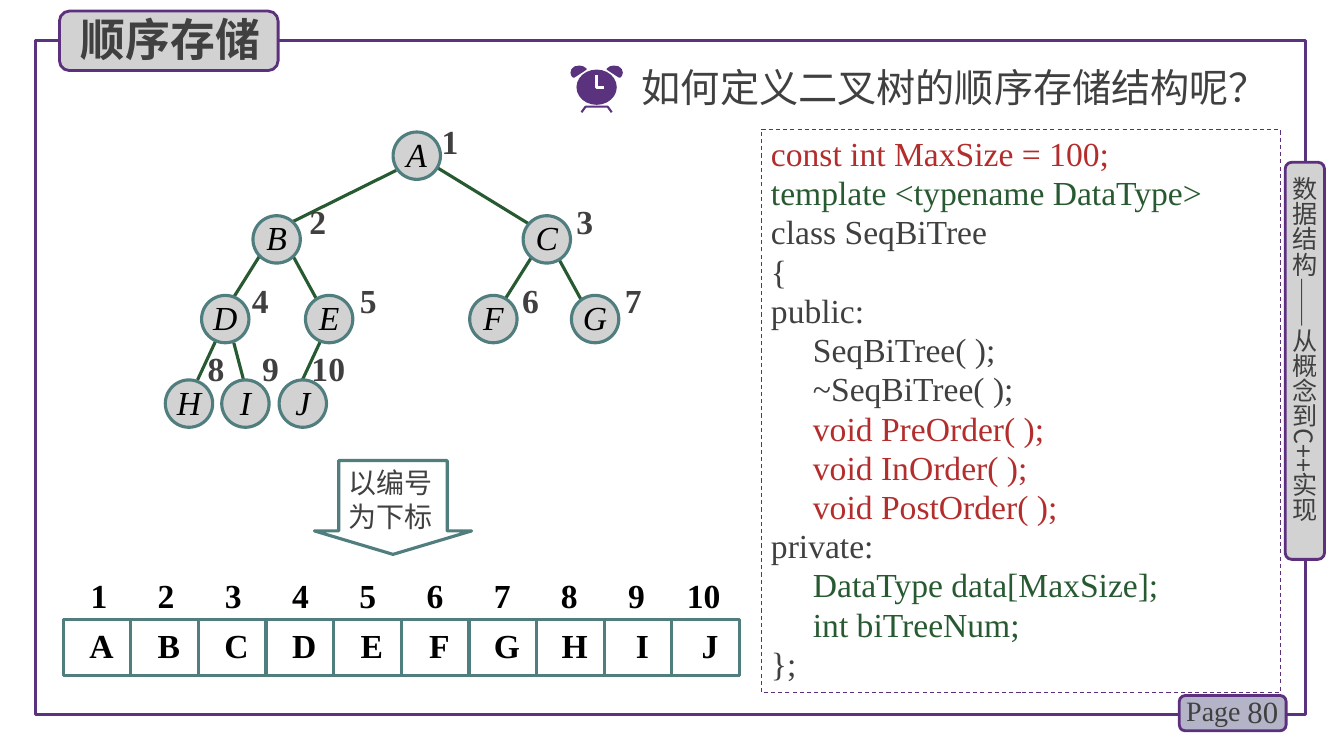
from typing import NamedTuple

from lxml import etree
from pptx import Presentation
from pptx.dml.color import RGBColor
from pptx.enum.dml import MSO_LINE
from pptx.enum.shapes import MSO_CONNECTOR, MSO_SHAPE
from pptx.enum.text import MSO_ANCHOR, MSO_AUTO_SIZE, PP_ALIGN
from pptx.oxml.ns import qn
from pptx.util import Pt

RECT, ROUND, OVAL, ARROW = (MSO_SHAPE.RECTANGLE, MSO_SHAPE.ROUNDED_RECTANGLE,
                            MSO_SHAPE.OVAL, MSO_SHAPE.DOWN_ARROW)
STRAIGHT, DASH, FIXED = MSO_CONNECTOR.STRAIGHT, MSO_LINE.DASH, MSO_AUTO_SIZE.NONE
LEFT, MID, RIGHT = PP_ALIGN.LEFT, PP_ALIGN.CENTER, PP_ALIGN.RIGHT
TOP, CENTER = MSO_ANCHOR.TOP, MSO_ANCHOR.MIDDLE
SANS, SERIF = "Noto Sans CJK SC", "Times New Roman"
COLORS = {"plum": "5A327D", "rim": "5C307D", "grey": "D2D2D2", "lilac": "B4B4C8",
          "teal": "507D7D", "green": "285A32", "red": "B42D2D", "dark": "404040",
          "black": "000000", "white": "FFFFFF"}


class Box(NamedTuple):
    x: float
    y: float
    w: float
    h: float


class Panel(NamedTuple):
    kind: int
    box: Box
    fill: str
    edge: str
    width: float


class Label(NamedTuple):
    text: str
    box: Box
    form: dict


class Node(NamedTuple):
    name: str
    left: float
    mark: float
    edge: tuple = ()


class Code(NamedTuple):
    text: str
    tint: str


PANELS = (
    Panel(RECT, Box(25.2, 28.8, 907.2, 481.7), "", "plum", 2.25),
    Panel(ROUND, Box(842.4, 496.8, 76.3, 25.2), "lilac", "rim", 2),
    Panel(ROUND, Box(918, 115.9, 28.1, 283.7), "grey", "rim", 2),
    Panel(ROUND, Box(42.5, 7.9, 156.2, 42.5), "grey", "rim", 2),
)
LABELS = (
    Label("80", Box(869, 493.9, 51.1, 28.8),
          {"size": 22, "align": RIGHT, "anchor": CENTER}),
    Label("Page", Box(840.2, 491.8, 56.2, 31.7), {"size": 20}),
    Label("数据结构——从概念到C++实现", Box(920.9, 126, 21.6, 272.2),
          {"size": 18, "face": SANS, "inset": (0, 0, 0, 0), "turn": "eaVert"}),
    Label("如何定义二叉树的顺序存储结构呢？", Box(451.4, 41.8, 465.1, 41),
          {"size": 28, "face": SANS}),
)
NODES = (
    Node("A", 280.8, 315.4),
    Node("B", 180.7, 221, (283, 121.7, 204.5, 160.6)),
    Node("C", 373.7, 411.8, (309.6, 118.1, 382.3, 162.7)),
    Node("D", 144, 180, (188.6, 177.8, 164.2, 216.7)),
    Node("E", 218.2, 257, (208.1, 180.7, 229, 218.9)),
    Node("F", 335.5, 373, (380.2, 182.9, 355.7, 221.8)),
    Node("G", 408.2, 446.4, (399.6, 185.8, 420.5, 223.9)),
    Node("H", 118.1, 148.3, (155.5, 240.5, 141.1, 271.4)),
    Node("I", 158.4, 187.2, (167, 244.8, 175.7, 277.9)),
    Node("J", 199.4, 222.5, (230.4, 240.5, 216, 271.4)),
)
NODE_TOPS = (94.3, 154.1, 211, 271.4)
MARK_TOPS = (85, 141.8, 198.7, 247)
CODE = (
    Code("const int MaxSize = 100;", "red"),
    Code("template <typename DataType>", "green"),
    Code("class SeqBiTree", "dark"),
    Code("{", "dark"),
    Code("public:", "dark"),
    Code("     SeqBiTree( );", "dark"),
    Code("     ~SeqBiTree( );", "dark"),
    Code("     void PreOrder( );", "red"),
    Code("     void InOrder( );", "red"),
    Code("     void PostOrder( );", "red"),
    Code("private:", "dark"),
    Code("     DataType data[MaxSize];", "green"),
    Code("     int biTreeNum;", "green"),
    Code("};", "dark"),
)
EAR = ((414, 46.8), (410.4, 47.4), (408.2, 49.4), (407.5, 51.8), (408, 54),
       (409.2, 55.4), (410.4, 55.4), (419, 49.8), (419, 49), (416.8, 47.4))
FEET = ((415.4, 80.2), (418.3, 76.2), (434.1, 76.2), (437, 80.2))
HANDS = ((426.2, 53.8), (426.2, 62.3), (431.5, 62.3))
CLOCK_MID = 426.2
STEP = 48.3


def shade(name: str) -> RGBColor:
    """Look up a colour by name."""
    return RGBColor.from_string(COLORS[name])


def style(shape, fill: str = "", edge: str = "", width: float = 2.25):
    """Set the fill and outline of a shape and drop its shadow."""
    shape.shadow.inherit = False
    if fill:
        shape.fill.solid()
        shape.fill.fore_color.rgb = shade(fill)
    else:
        shape.fill.background()
    if edge:
        shape.line.color.rgb = shade(edge)
        shape.line.width = Pt(width)
    else:
        shape.line.fill.background()
    return shape


def draw(shapes, kind: int, box: Box, **look):
    """Add a styled preset shape."""
    return style(shapes.add_shape(kind, *map(Pt, box)), **look)


def trace(shapes, points, close: bool, **look) -> None:
    """Add a styled outline through the points."""
    path = [(Pt(x), Pt(y)) for x, y in points]
    pen = shapes.build_freeform(*path[0], scale=1.0)
    pen.add_line_segments(path[1:], close=close)
    style(pen.convert_to_shape(), **look)


def join(shapes, edge: tuple) -> None:
    """Add a tree edge."""
    line = shapes.add_connector(STRAIGHT, *map(Pt, edge))
    line.line.color.rgb = shade("green")
    line.line.width = Pt(2.25)
    etree.SubElement(line._element.spPr, qn("a:effectLst"))


def write(shape, text: str, size: float = 24, face: str = SERIF, tint: str = "dark",
          tints: tuple = (), bold: bool = False, slant: bool = False, align=LEFT,
          anchor=TOP, inset: tuple = (7.2, 3.6, 7.2, 3.6), pitch: float = 0,
          turn: str = "", tabs: tuple = ()) -> None:
    """Fill a shape with text, one paragraph a line."""
    frame = shape.text_frame
    frame.word_wrap, frame.auto_size, frame.vertical_anchor = True, FIXED, anchor
    (frame.margin_left, frame.margin_top,
     frame.margin_right, frame.margin_bottom) = map(Pt, inset)
    if turn:
        frame._txBody.bodyPr.set("vert", turn)
    for i, line in enumerate(text.split("\n")):
        para = frame.add_paragraph() if i else frame.paragraphs[0]
        para.alignment = align
        if pitch:
            para.line_spacing = Pt(pitch)
        if tabs:
            stops = etree.SubElement(para._p.get_or_add_pPr(), qn("a:tabLst"))
            for stop in tabs:
                etree.SubElement(stops, qn("a:tab"), pos=str(Pt(stop)), algn="ctr")
        run = para.add_run()
        run.text = line
        font = run.font
        font.name, font.size, font.bold, font.italic = face, Pt(size), bold, slant
        font.color.rgb = shade(tints[i] if tints else tint)
        etree.SubElement(run._r.get_or_add_rPr(), qn("a:ea"), typeface=face)


def label(shapes, text: str, box: Box, **form) -> None:
    """Add a text box."""
    write(shapes.add_textbox(*map(Pt, box)), text, **form)


def tree(shapes) -> None:
    """Draw the numbered binary tree."""
    for node in NODES:
        if node.edge:
            join(shapes, node.edge)
    for num, node in enumerate(NODES, 1):
        row = num.bit_length() - 1
        disc = draw(shapes, OVAL, Box(node.left, NODE_TOPS[row], 33.84, 33.84),
                    fill="grey", edge="teal")
        write(disc, node.name, tint="black", slant=True, align=MID, pitch=25,
              inset=(0, 0, 0, 0))
        label(shapes, str(num), Box(node.mark, MARK_TOPS[row], 30.2, 28.4),
              bold=True, inset=(0, 1.44, 0, 0))


def store(shapes) -> None:
    """Draw the arrow and the array with its indices."""
    arrow = draw(shapes, ARROW, Box(224.6, 329, 112.3, 67), edge="teal")
    arrow.adjustments[0], arrow.adjustments[1] = 0.69, 0.25
    write(arrow, "以编号\n为下标", size=20, face=SANS, anchor=CENTER)
    count = len(NODES)
    label(shapes, "\t".join(str(i + 1) for i in range(count)),
          Box(57.6, 406.8, 479.5, 36), tint="black", bold=True,
          tabs=tuple(6 + 48 * i for i in range(1, count)))
    for i, node in enumerate(NODES):
        cell = draw(shapes, RECT, Box(45.2 + STEP * i, 442.8, STEP, 39.6), edge="teal")
        write(cell, node.name, tint="black", bold=True, align=MID,
              inset=(13.2, 3.6, 7.2, 3.6))


def clock(shapes) -> None:
    """Draw the alarm clock."""
    trace(shapes, FEET, False, edge="plum", width=1.5)
    trace(shapes, EAR, True, fill="plum")
    trace(shapes, [(2 * CLOCK_MID - x, y) for x, y in EAR], True, fill="plum")
    draw(shapes, OVAL, Box(CLOCK_MID - 14.4, 49.7, 28.8, 25.2), fill="plum")
    trace(shapes, HANDS, False, edge="white")


def main() -> None:
    """Build and save the slide."""
    deck = Presentation()
    deck.slide_width, deck.slide_height = Pt(960), Pt(540)
    slide = deck.slides.add_slide(deck.slide_layouts[5])
    shapes = slide.shapes
    for panel in PANELS:
        draw(shapes, panel.kind, panel.box, fill=panel.fill, edge=panel.edge,
             width=panel.width)
    for item in LABELS:
        label(shapes, item.text, item.box, **item.form)
    tree(shapes)
    store(shapes)
    code = draw(shapes, RECT, Box(543.6, 92.2, 370.8, 402.5), edge="rim", width=0.75)
    code.line.dash_style = DASH
    write(code, "\n".join(line.text for line in CODE), pitch=28,
          tints=tuple(line.tint for line in CODE))
    clock(shapes)
    title = shapes.title
    title.left, title.top, title.width, title.height = map(Pt, (50.4, 5, 147.6, 46.1))
    write(title, "顺序存储", size=32, face=SANS, bold=True)
    shapes._spTree.append(title._element)
    deck.save("out.pptx")


if __name__ == "__main__":
    main()
